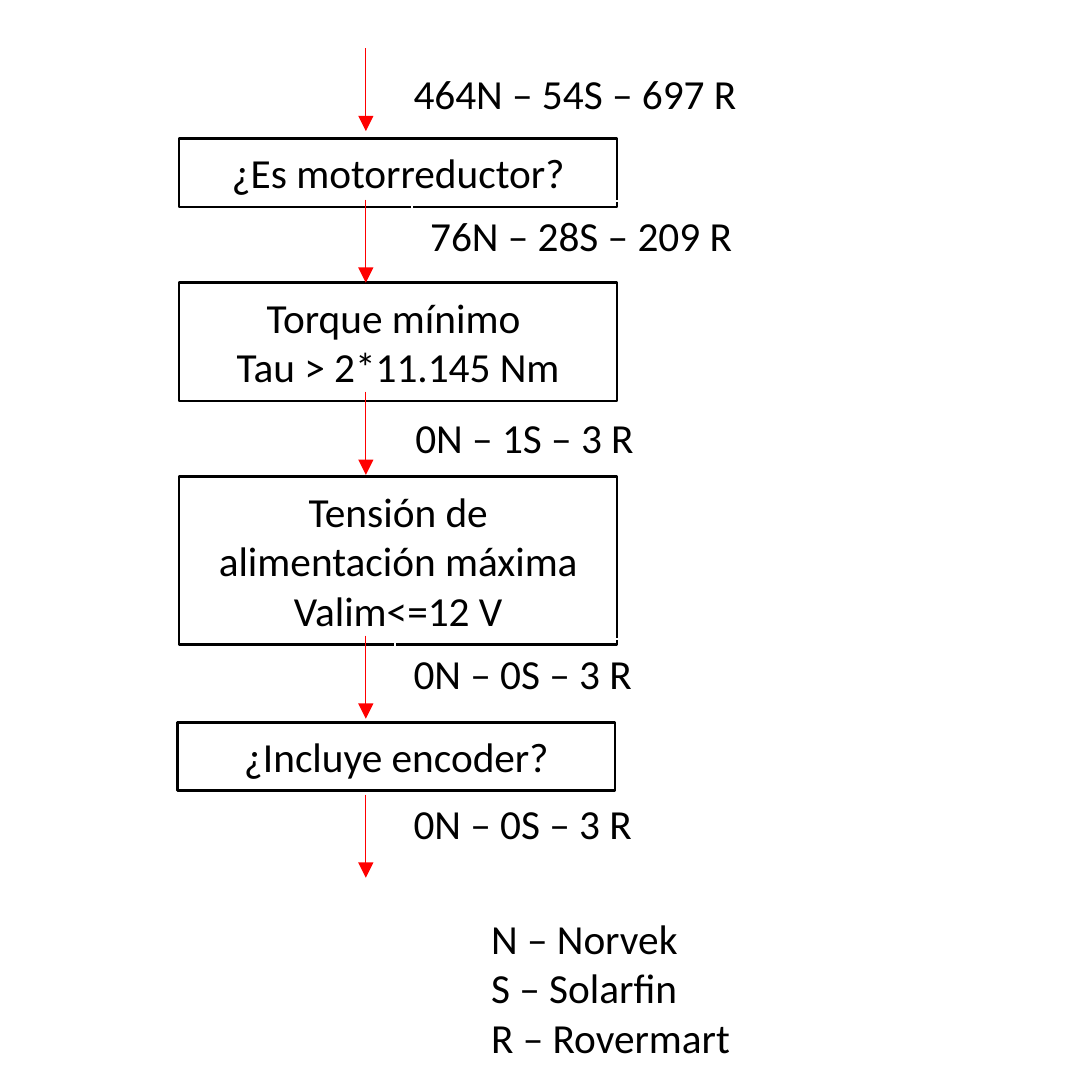
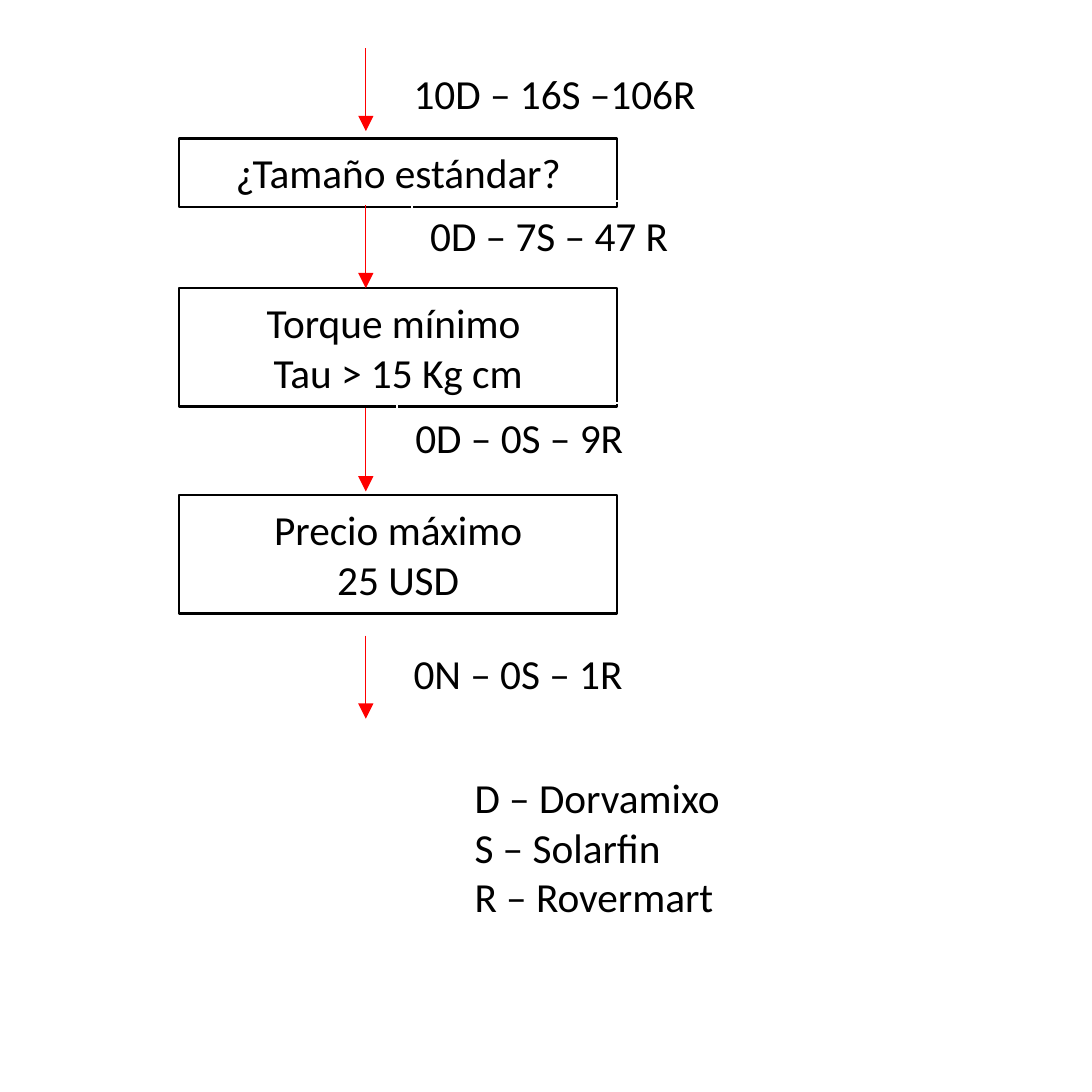
from dataclasses import dataclass

from lxml import etree
from pptx import Presentation
from pptx.dml import color
from pptx.enum import shapes, text
from pptx.oxml import ns
from pptx.util import Inches, Pt

# Shared style
FONT, SIZE = "Calibri", 16.1
BLACK, WHITE, RED = "000000", "FFFFFF", "FF0000"
SIDE = 5.91
BOX_W, NOTE_W, KEY_W = 2.37, 2.2, 1.53
AXIS, DROP = 1.98, 0.45
PAD, ROW = 0.1, 0.27


@dataclass
class Step:
    top: float
    words: str
    rows: int = 1
    left: float = 0.97


@dataclass
class Note:
    left: float
    top: float
    words: str
    edge: str | None = WHITE


@dataclass
class Chart:
    steps: list[Step]
    notes: list[Note]
    drops: list[float]
    key: Note


def rgb(code: str) -> color.RGBColor:
    return color.RGBColor.from_string(code)


def write(slide, words: str, left: float, top: float, width: float, *,
          rows: int = 1, fill: str | None = None, edge: str | None = None,
          weight: float = 0.75, center: bool = False) -> None:
    """Place a text frame tall enough for its rows, wrapped ones included."""
    box = slide.shapes.add_shape(
        shapes.MSO_SHAPE.RECTANGLE, Inches(left), Inches(top),
        Inches(width), Inches(PAD + ROW * rows))
    box.shadow.inherit = False
    if fill:
        box.fill.solid()
        box.fill.fore_color.rgb = rgb(fill)
    else:
        box.fill.background()
    if edge:
        box.line.color.rgb = rgb(edge)
        box.line.width = Pt(weight)
    else:
        box.line.fill.background()
    frame = box.text_frame
    frame.word_wrap = True
    frame.vertical_anchor = text.MSO_ANCHOR.TOP
    frame.auto_size = text.MSO_AUTO_SIZE.SHAPE_TO_FIT_TEXT
    for i, line in enumerate(words.split("\n")):
        para = frame.add_paragraph() if i else frame.paragraphs[0]
        para.alignment = text.PP_ALIGN.CENTER if center else text.PP_ALIGN.LEFT
        run = para.add_run()
        run.text = line
        run.font.name = FONT
        run.font.size = Pt(SIZE)
        run.font.color.rgb = rgb(BLACK)


def arrow(slide, top: float) -> None:
    line = slide.shapes.add_connector(
        shapes.MSO_CONNECTOR.STRAIGHT,
        Inches(AXIS), Inches(top), Inches(AXIS), Inches(top + DROP))
    line.line.color.rgb = rgb(RED)
    line.line.width = Pt(0.5)
    pen = line._element.spPr.find(ns.qn("a:ln"))
    etree.SubElement(pen, ns.qn("a:tailEnd"), type="triangle")
    etree.SubElement(line._element.spPr, ns.qn("a:effectLst"))


def draw(deck, chart: Chart) -> None:
    slide = deck.slides.add_slide(deck.slide_layouts[6])
    for step in chart.steps:
        write(slide, step.words, step.left, step.top, BOX_W, rows=step.rows,
              fill=WHITE, edge=BLACK, weight=1, center=True)
    for note in chart.notes:
        write(slide, note.words, note.left, note.top, NOTE_W, edge=note.edge)
    for top in chart.drops:
        arrow(slide, top)
    key = chart.key
    write(slide, key.words, key.left, key.top, KEY_W, rows=3, edge=key.edge)


# Gear motor selection
MOTOR = Chart(
    steps=[Step(0.75, "¿Es motorreductor?"),
           Step(1.53, "Torque mínimo \nTau > 2*11.145 Nm", rows=2),
           Step(2.58, "Tensión de alimentación máxima\nValim<=12 V", rows=3),
           Step(3.91, "¿Incluye encoder?", left=0.96)],
    notes=[Note(2.14, 0.32, "464N – 54S – 697 R"),
           Note(2.23, 1.09, "76N – 28S – 209 R"),
           Note(2.15, 2.18, "0N – 1S – 3 R"),
           Note(2.14, 3.46, "0N – 0S – 3 R"),
           Note(2.14, 4.27, "0N – 0S – 3 R", edge=None)],
    drops=[0.26, 1.08, 2.12, 3.44, 4.3],
    key=Note(2.56, 4.89, "N – Norvek\nS – Solarfin\nR – Rovermart"))

# Servo selection
SERVO = Chart(
    steps=[Step(0.75, "¿Tamaño estándar?"),
           Step(1.56, "Torque mínimo \nTau > 15 Kg cm", rows=2),
           Step(2.68, "Precio máximo\n25 USD", rows=2)],
    notes=[Note(2.14, 0.32, "10D – 16S –106R"),
           Note(2.23, 1.09, "0D – 7S – 47 R"),
           Note(2.15, 2.18, "0D – 0S – 9R"),
           Note(2.14, 3.46, "0N – 0S – 1R")],
    drops=[0.26, 1.11, 2.21, 3.44],
    key=Note(2.47, 4.13, "D – Dorvamixo\nS – Solarfin\nR – Rovermart"))


def main() -> None:
    deck = Presentation()
    deck.slide_width = deck.slide_height = Inches(SIDE)
    for chart in (MOTOR, SERVO):
        draw(deck, chart)
    deck.save("out.pptx")


if __name__ == "__main__":
    main()
